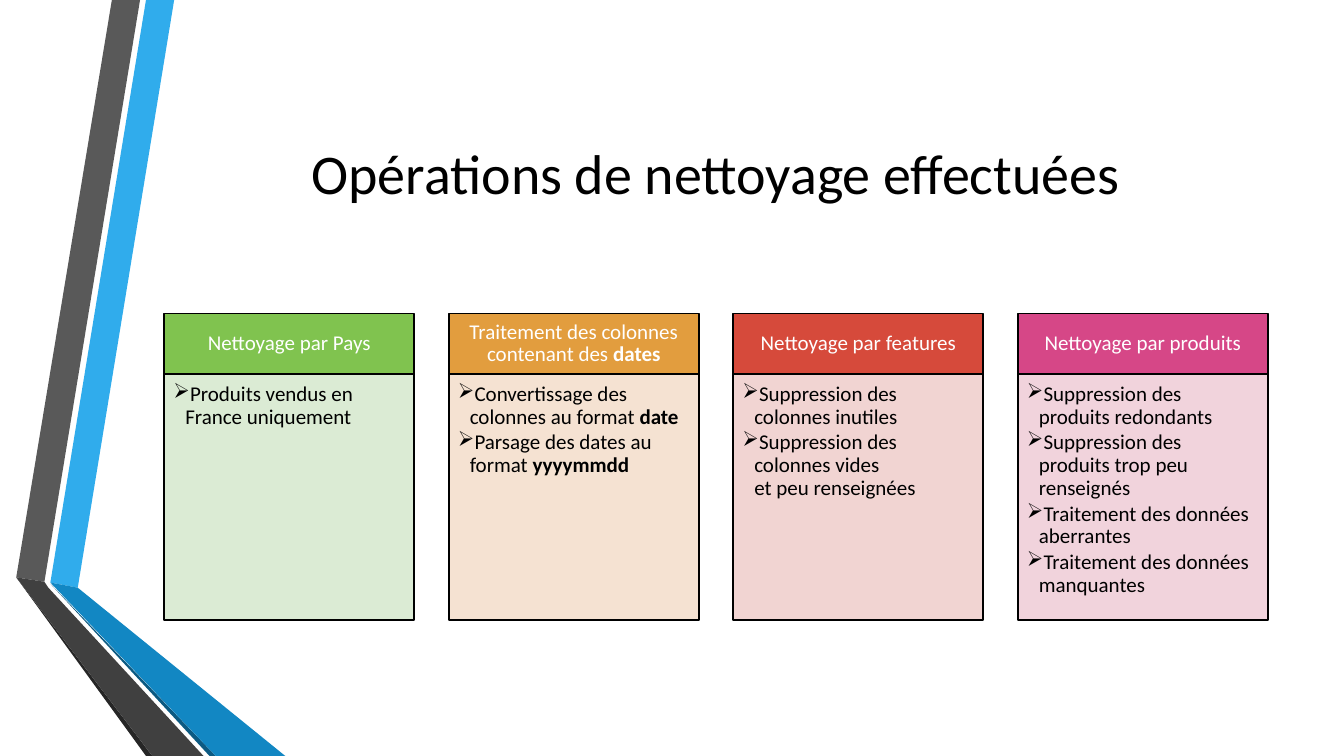
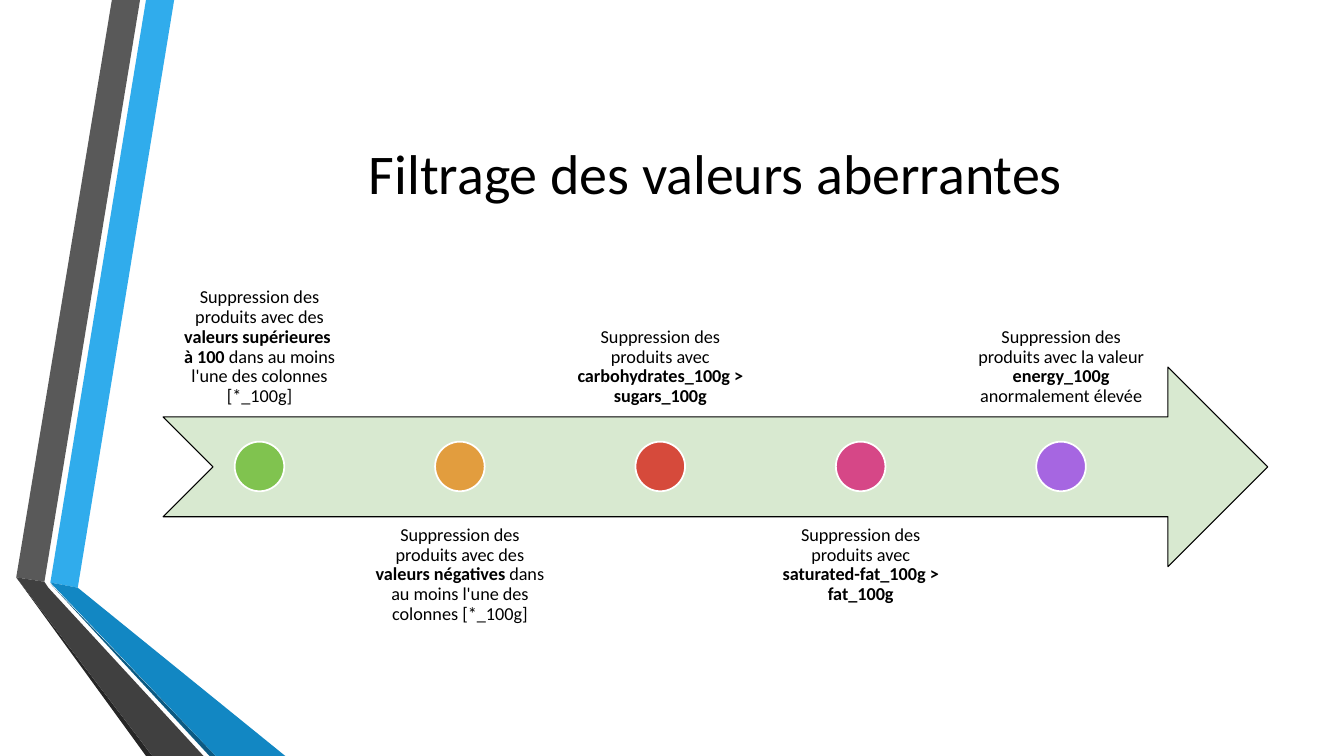
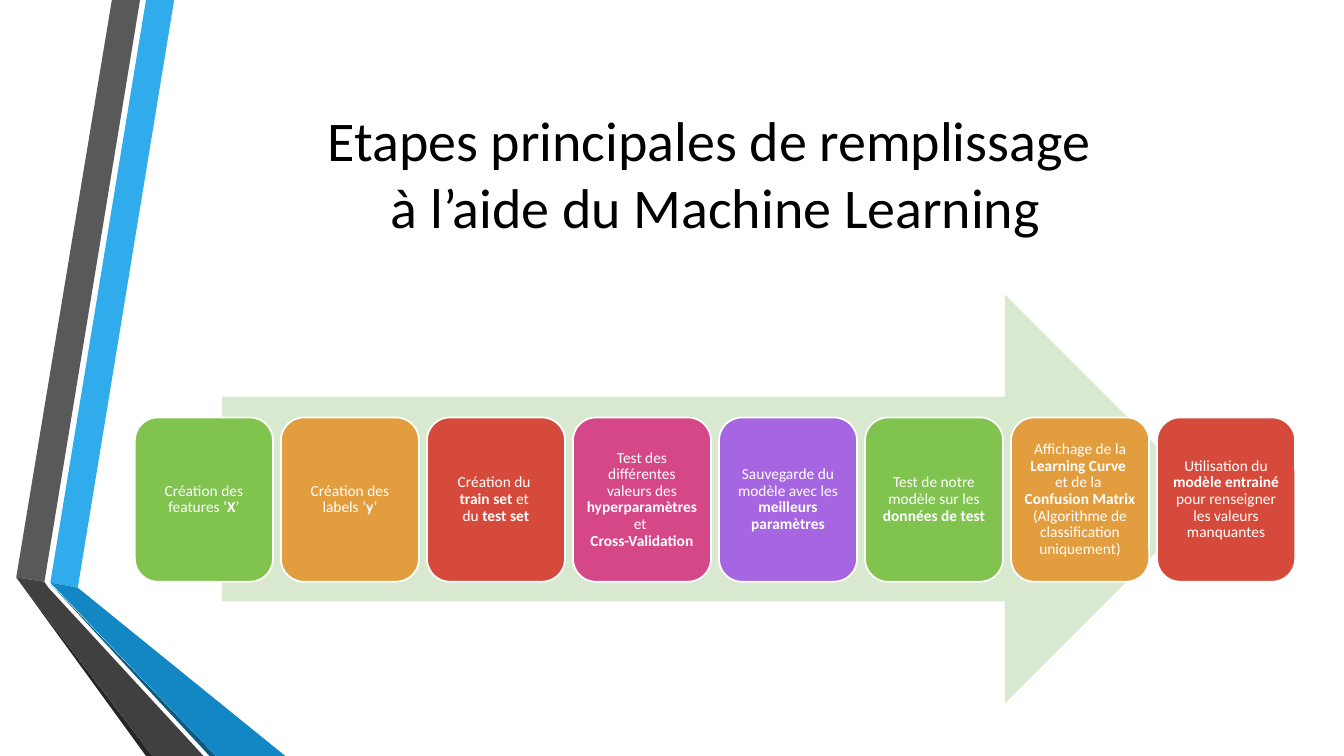
import pptx
import pptx.dml.color
import pptx.enum.shapes
import pptx.enum.text
import pptx.oxml.ns
import pptx.util
from lxml import etree

Cm = pptx.util.Cm
Pt = pptx.util.Pt
qn = pptx.oxml.ns.qn
RGB = pptx.dml.color.RGBColor.from_string
SHAPE = pptx.enum.shapes.MSO_SHAPE
ALIGN = pptx.enum.text.PP_ALIGN
ANCHOR = pptx.enum.text.MSO_ANCHOR

FONT = "Calibri"
BLACK, WHITE = "000000", "FFFFFF"
GREEN, ORANGE, RED, PINK, PURPLE = ACCENTS = ["80C34F", "E29D3E", "D64A3B", "D64787", "A666E1"]
PALE_GREEN = "D8E9D0"


def paint(shape, fill, line=None, width=1.25, opacity=100):
    shape.shadow.inherit = False
    shape.fill.solid()
    shape.fill.fore_color.rgb = RGB(fill)
    if opacity < 100:
        colour = shape.element.spPr.find(qn("a:solidFill"))[0]
        etree.SubElement(colour, qn("a:alpha"), val=str(opacity * 1000))
    if line:
        shape.line.color.rgb = RGB(line)
        shape.line.width = Pt(width)
    else:
        shape.line.fill.background()


def write(shape, paragraphs, size, colour, anchor=ANCHOR.MIDDLE, insets=(0.25, 0.13, 0.25, 0.13),
          spacing=0.9, bullet=None):
    """Fill the shape with paragraphs; ** switches bold on and off, a newline breaks the line."""
    frame = shape.text_frame
    frame.word_wrap = True
    frame.auto_size = pptx.enum.text.MSO_AUTO_SIZE.NONE
    frame.vertical_anchor = anchor
    frame.margin_left, frame.margin_top, frame.margin_right, frame.margin_bottom = map(Cm, insets)
    for number, text in enumerate(paragraphs):
        paragraph = frame.add_paragraph() if number else frame.paragraphs[0]
        paragraph.alignment = ALIGN.LEFT if bullet else ALIGN.CENTER
        paragraph.line_spacing = spacing
        if bullet:
            paragraph.space_after = Pt(2.25)
            properties = paragraph._p.get_or_add_pPr()
            properties.set("marL", str(Cm(0.3)))
            properties.set("indent", str(-Cm(0.3)))
            etree.SubElement(properties, qn("a:buChar"), char=bullet)
        for part_number, part in enumerate(text.split("**")):
            for line_number, line in enumerate(part.split("\n")):
                if line_number:
                    paragraph.add_line_break()
                if line:
                    run = paragraph.add_run()
                    run.text = line
                    run.font.name = FONT
                    run.font.size = Pt(size)
                    run.font.bold = part_number % 2 == 1
                    run.font.color.rgb = RGB(colour)


presentation = pptx.Presentation()
presentation.slide_width = Cm(33.87)
presentation.slide_height = Cm(19.05)
layout = presentation.slide_layouts.get_by_name("Title Only")

# Title position, shared through the layout
layout_title = layout.placeholders[0]
layout_title.left, layout_title.top = Cm(4.11), Cm(1.9)
layout_title.width, layout_title.height = Cm(27.84), Cm(4.88)

titles = [
    "Opérations de nettoyage effectuées",
    "Filtrage des valeurs aberrantes",
    "Etapes principales de remplissage \nà l’aide du Machine Learning",
]
slides = []
for title in titles:
    slide = presentation.slides.add_slide(layout)
    write(slide.shapes.title, [title], 40, BLACK, spacing=1.0)
    slides.append(slide)
cleaning, filtering, learning = slides

# Folded ribbons: drawn once, then moved to the layout behind its placeholders
ribbons = [
    ("30ACEC", [(1.27, 14.68), (1.96, 14.81), (4.39, 0), (3.68, 0)]),
    ("595959", [(3.53, 0), (2.82, 0), (0.41, 14.55), (1.12, 14.66)]),
    ("262626", [(0.41, 14.55), (3.68, 19.05), (3.84, 19.05)]),
    ("0C5A82", [(1.27, 14.71), (5.28, 19.05), (5.44, 19.05)]),
    ("1287C3", [(1.27, 14.68), (5.44, 19.05), (7.19, 19.05), (1.96, 14.81)]),
    ("404040", [(5.13, 19.05), (1.22, 14.81), (1.12, 14.66), (0.41, 14.55), (3.84, 19.05)]),
]
for number, (colour, corners) in enumerate(ribbons):
    points = [(Cm(x), Cm(y)) for x, y in corners]
    builder = cleaning.shapes.build_freeform(*points[0])
    builder.add_line_segments(points[1:], close=True)
    ribbon = builder.convert_to_shape()
    paint(ribbon, colour)
    ribbon.element.nvSpPr.cNvPr.set("id", str(20 + number))
    layout.shapes.element.insert(2 + number, ribbon.element)

# Slide 1: four columns of cleaning operations
columns = [
    ("Nettoyage par Pays", GREEN, PALE_GREEN, ["Produits vendus en France uniquement"]),
    ("Traitement des colonnes contenant des **dates**", ORANGE, "F4DFCE", [
        "Convertissage des colonnes au format **date**",
        "Parsage des dates au format **yyyymmdd**",
    ]),
    ("Nettoyage par features", RED, "F0D0CE", [
        "Suppression des colonnes inutiles",
        "Suppression des colonnes vides \net peu renseignées",
    ]),
    ("Nettoyage par produits", PINK, "F0CFD9", [
        "Suppression des produits redondants",
        "Suppression des produits trop peu renseignés",
        "Traitement des données aberrantes",
        "Traitement des données manquantes",
    ]),
]
column_width, header_top, header_height = 6.3, 7.9, 1.53
for number, (heading, colour, pale, operations) in enumerate(columns):
    left = Cm(4.14 + number * 7.17)
    header = cleaning.shapes.add_shape(
        SHAPE.RECTANGLE, left, Cm(header_top), Cm(column_width), Cm(header_height))
    paint(header, colour, BLACK)
    write(header, [heading], 15, WHITE, insets=(0.3, 0.18, 0.3, 0.18))
    body = cleaning.shapes.add_shape(
        SHAPE.RECTANGLE, left, Cm(header_top + header_height), Cm(column_width), Cm(6.2))
    paint(body, pale, BLACK, opacity=90)
    write(body, operations, 15, BLACK, ANCHOR.TOP, (0.23, 0.23, 0.3, 0.33), bullet="➢")

# Slide 2: timeline with labels alternately above and below
timeline = filtering.shapes.add_shape(
    SHAPE.NOTCHED_RIGHT_ARROW, Cm(4.11), Cm(9.25), Cm(27.84), Cm(5.03))
paint(timeline, PALE_GREEN, BLACK, 0.75)
filters = [
    "Suppression des produits avec des **valeurs supérieures \nà 100 **"
    "dans au moins l'une des colonnes [*_100g]",
    "Suppression des produits avec des **valeurs négatives **"
    "dans au moins l'une des colonnes [*_100g]",
    "Suppression des produits avec **carbohydrates_100g > sugars_100g**",
    "Suppression des produits avec **saturated-fat_100g > fat_100g**",
    "Suppression des produits avec la valeur **energy_100g** anormalement élevée",
]
label_width, dot_size = 4.8, 1.25
for number, (text, colour) in enumerate(zip(filters, ACCENTS)):
    left = 4.14 + number * 5.05
    top, anchor = (13, ANCHOR.TOP) if number % 2 else (5.46, ANCHOR.BOTTOM)
    label = filtering.shapes.add_textbox(Cm(left), Cm(top), Cm(label_width), Cm(5.03))
    write(label, [text], 13, BLACK, anchor, (0.25, 0.25, 0.25, 0.25))
    dot = filtering.shapes.add_shape(
        SHAPE.OVAL, Cm(left + (label_width - dot_size) / 2), Cm(11.13), Cm(dot_size), Cm(dot_size))
    paint(dot, colour, WHITE)

# Slide 3: eight steps over a wide arrow
process_arrow = learning.shapes.add_shape(
    SHAPE.RIGHT_ARROW, Cm(5.59), Cm(7.42), Cm(24.89), Cm(10.31))
paint(process_arrow, PALE_GREEN)
steps = [
    "Création des features ‘**X**’",
    "Création des labels ‘**y**’",
    "Création du \n**train set **et \ndu **test set**",
    "Test des différentes valeurs des **hyperparamètres** et \n**Cross-Validation**",
    "Sauvegarde du modèle avec les **meilleurs paramètres**",
    "Test de notre modèle sur les **données de test**",
    "Affichage de la **Learning Curve \n**et de la \n**Confusion Matrix **"
    "(Algorithme de classification uniquement)",
    "Utilisation du **modèle entrainé **pour renseigner les valeurs manquantes",
]
for number, text in enumerate(steps):
    step = learning.shapes.add_shape(
        SHAPE.ROUNDED_RECTANGLE, Cm(3.4 + number * 3.68), Cm(10.52), Cm(3.48), Cm(4.14))
    paint(step, ACCENTS[number % len(ACCENTS)], WHITE)
    write(step, [text], 11, WHITE, insets=(0.13, 0.13, 0.13, 0.13))

presentation.save("out.pptx")
